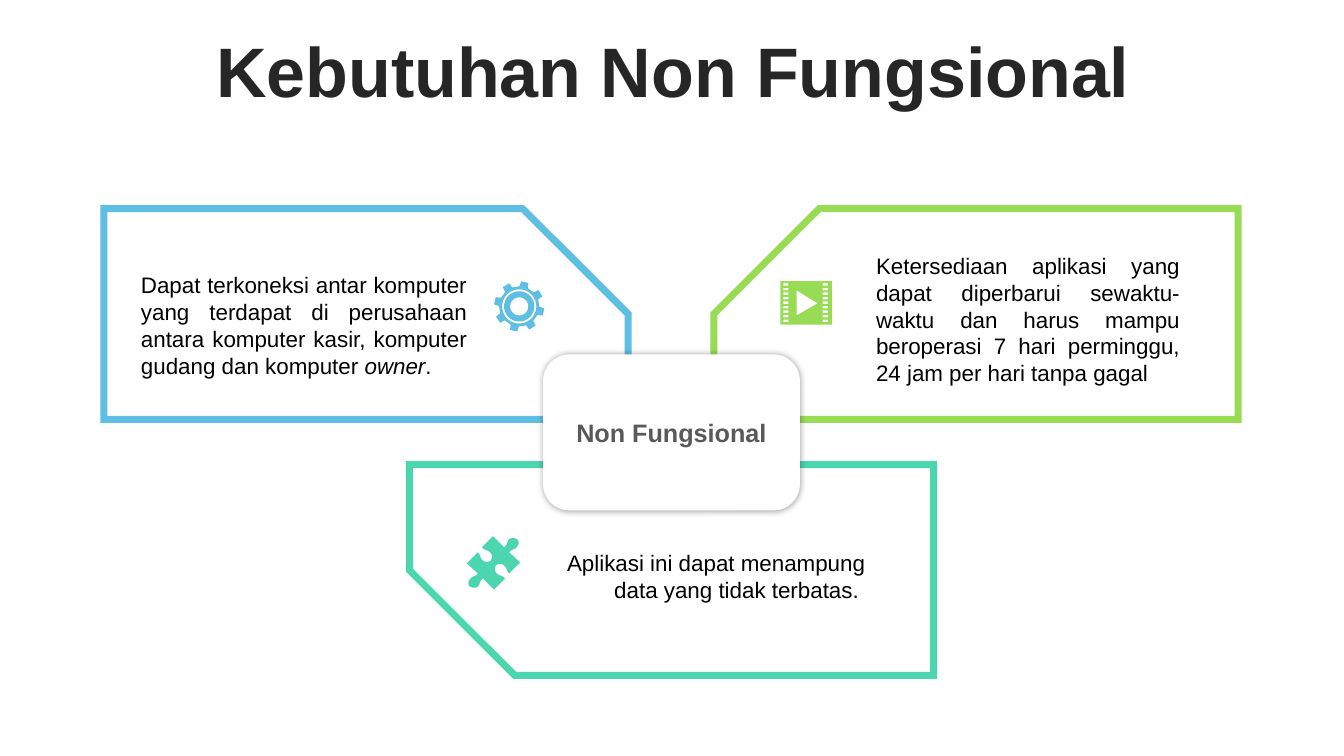
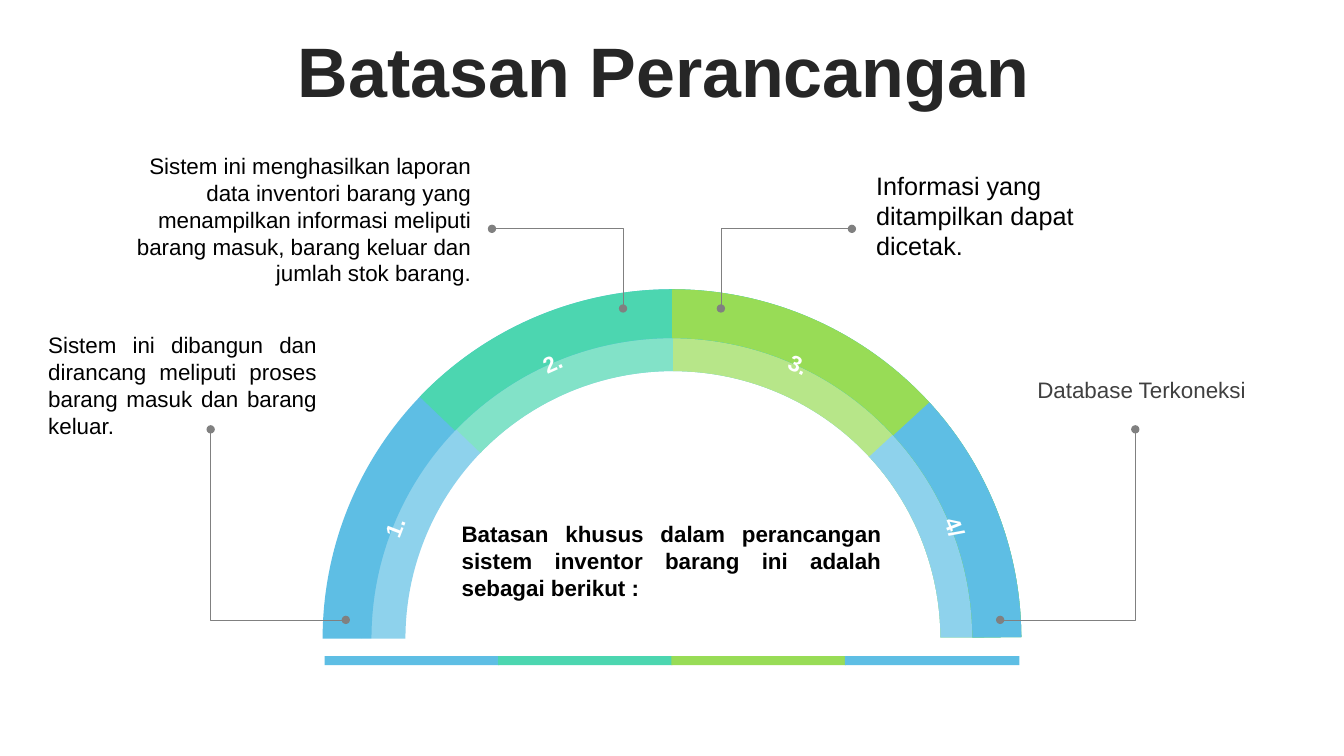
from math import cos, radians, sin, tau

from lxml import etree
from pptx import Presentation
from pptx.dml.color import RGBColor
from pptx.enum.shapes import MSO_CONNECTOR, MSO_SHAPE
from pptx.enum.text import MSO_ANCHOR, MSO_AUTO_SIZE, PP_ALIGN
from pptx.oxml.ns import qn
from pptx.util import Inches, Pt

LEFT, RIGHT = PP_ALIGN.LEFT, PP_ALIGN.RIGHT
CENTER, JUSTIFY = PP_ALIGN.CENTER, PP_ALIGN.JUSTIFY
MIDDLE = MSO_ANCHOR.MIDDLE
FIXED = MSO_AUTO_SIZE.NONE
ELBOW = MSO_CONNECTOR.ELBOW
RECT, ARC = MSO_SHAPE.RECTANGLE, MSO_SHAPE.BLOCK_ARC
SNIP, ROUND = MSO_SHAPE.SNIP_1_RECTANGLE, MSO_SHAPE.ROUNDED_RECTANGLE

FONT = "Arial"
BLUE, GREEN, TEAL = "5EBEE4", "98DC56", "4CD6B0"
BLACK, WHITE, DARK, GRAY = "000000", "FFFFFF", "262626", "808080"

# Slide 1: box, flips, colour
CARDS = [
    ((1.03, 2.07, 5.2, 2.09), "", BLUE),
    ((7.08, 2.07, 5.2, 2.09), "H", GREEN),
    ((4.06, 4.61, 5.2, 2.09), "HV", TEAL),
]
HUB = (5.39, 3.52, 2.54, 1.54)
# Every second part of a text is italic
NEEDS = [
    ((1.3, 2.64, 3.43, 1.18), JUSTIFY,
     ["Dapat terkoneksi antar komputer yang terdapat di perusahaan antara "
      "komputer kasir, komputer gudang dan komputer ", "owner", "."]),
    ((8.59, 2.45, 3.21, 1.45), JUSTIFY,
     ["Ketersediaan aplikasi yang dapat diperbarui sewaktu-waktu dan harus "
      "mampu beroperasi 7 hari perminggu, 24 jam per hari tanpa gagal "]),
    ((5.47, 5.4, 3.21, 0.64), RIGHT,
     ["Aplikasi ini dapat menampung data yang tidak terbatas. "]),
]
# Half of the puzzle outline: end points, or two controls and an end point
PUZZLE_MID = (4.895, 5.585)
PUZZLE = [
    (5.13, 5.35),
    (5.15, 5.37, 5.15, 5.4, 5.13, 5.42),
    (5.11, 5.46, 5.08, 5.44, 5.05, 5.48),
    (5.16, 5.58),
    (5.05, 5.69),
    (5.02, 5.66, 5.03, 5.63, 5, 5.61),
    (4.98, 5.59, 4.94, 5.59, 4.92, 5.61),
    (4.91, 5.63, 4.9, 5.67, 4.93, 5.69),
    (4.96, 5.72, 4.97, 5.7, 5.01, 5.74),
    (4.9, 5.85),
    (4.79, 5.74),
    (4.75, 5.77, 4.77, 5.78, 4.74, 5.82),
    (4.71, 5.84, 4.68, 5.83, 4.66, 5.82),
]

# Slide 2: box, start angles, colours
ARC_END, ARC_DEPTH = 359.78, 0.07
ARCS = [
    ((3.59, 3.25, 6.17, 6.17), (180, 223.97, 270.03, 317.18),
     ("8ED2EC", "82E2C8", "B7E689", "8ED2EC")),
    ((3.2, 2.87, 6.93, 6.93), (180, 223.79, 270.03, 317.46),
     (BLUE, TEAL, GREEN, BLUE)),
]
LIMITS = [
    ((0.38, 3.24, 2.86, 1.18), JUSTIFY, 16, BLACK, False,
     "Sistem ini dibangun dan dirancang meliputi proses barang masuk dan "
     "barang keluar."),
    ((1.22, 1.46, 3.55, 1.45), RIGHT, 16, BLACK, False,
     "Sistem ini menghasilkan laporan data inventori barang yang menampilkan "
     "informasi meliputi barang masuk, barang keluar dan jumlah stok barang."),
    ((8.59, 1.64, 2.68, 1.01), LEFT, 18, BLACK, False,
     "Informasi yang ditampilkan dapat dicetak."),
    ((10.19, 3.68, 2.76, 0.37), LEFT, 16, "404040", False,
     "Database Terkoneksi"),
    ((4.48, 5.11, 4.36, 0.91), JUSTIFY, 16, BLACK, True,
     "Batasan khusus dalam perancangan sistem inventor barang ini adalah "
     "sebagai berikut :"),
]
# Text, left, top, rotation
MARKS = [
    ("1. ", 2.89, 4.87, 291),
    ("2. ", 4.35, 3.38, 335.8),
    ("3. ", 6.6, 3.42, 25.1),
    ("4/ ", 8.02, 4.93, 68.8),
]
# Each leader runs level first, then upright
LEADERS = [
    (4.88, 2.27, 6.18, 3.06),
    (8.45, 2.27, 7.15, 3.06),
    (3.43, 6.15, 2.09, 4.26),
    (9.92, 6.15, 11.26, 4.26),
]


def color(code):
    return RGBColor.from_string(code)


def inch(values):
    return [Inches(v) for v in values]


def sub(parent, tag, **attrs):
    return etree.SubElement(parent, qn(tag), attrs)


def paint(shape, fill, line=None, width=1):
    shape.shadow.inherit = False
    shape.fill.solid()
    shape.fill.fore_color.rgb = color(fill)
    if line:
        shape.line.color.rgb = color(line)
        shape.line.width = Pt(width)
    else:
        shape.line.fill.background()


def add_shape(slide, kind, box, fill, line=None, width=1):
    shape = slide.shapes.add_shape(kind, *inch(box))
    paint(shape, fill, line, width)
    return shape


def write(frame, parts, align, size, ink, bold=False):
    frame.word_wrap = True
    frame.auto_size = FIXED
    para = frame.paragraphs[0]
    para.alignment = align
    font = para.font
    font.name, font.size, font.bold = FONT, Pt(size), bold
    font.color.rgb = color(ink)
    for i, part in enumerate(parts):
        run = para.add_run()
        run.text = part
        if i % 2:
            run.font.italic = True
    return para


def add_text(slide, box, *style):
    shape = slide.shapes.add_textbox(*inch(box))
    write(shape.text_frame, *style)
    return shape


def add_slide(deck, title):
    slide = deck.slides.add_slide(deck.slide_layouts[5])
    head = slide.shapes.title
    head.left, head.top, head.width, head.height = inch((0.35, 0.37, 12.66, 0.79))
    head.text_frame.vertical_anchor = MIDDLE
    para = write(head.text_frame, [title], CENTER, 50, DARK, True)
    para.line_spacing = 0.8
    para.space_before = Pt(10)
    return slide


def add_icon(slide, rings, fill):
    """Draw closed outlines as one shape; inner ones become holes."""
    rings = [[inch(point) for point in ring] for ring in rings]
    pen = slide.shapes.build_freeform(*rings[0][0])
    for i, ring in enumerate(rings):
        if i:
            pen.move_to(*ring[0])
        pen.add_line_segments(ring[1:], close=True)
    paint(pen.convert_to_shape(), fill)


def polar(mid, radius, angle):
    return mid[0] + radius * cos(angle), mid[1] + radius * sin(angle)


def gear():
    mid, teeth = (5.15, 3.04), 8
    rim = [polar(mid, r, radians(-77 + 360 / teeth * i + turn))
           for i in range(teeth)
           for r, turn in ((0.2, -12), (0.25, -8.5), (0.25, 8.5), (0.2, 12))]
    holes = [[polar(mid, r, tau * i / 48) for i in range(48)]
             for r in (0.17, 0.15, 0.09)]
    return [rim] + holes


def film():
    def block(x, y, w, h):
        return [(x, y), (x + w, y), (x + w, y + h), (x, y + h)]

    slots = [block(x, 2.81 + 0.045 * i, 0.05, 0.025)
             for x in (7.77, 8.16) for i in range(9)]
    play = [(7.9, 2.88), (7.9, 3.13), (8.11, 3.01)]
    return [block(7.74, 2.79, 0.51, 0.43), play] + slots


def puzzle():
    half = []
    for step in PUZZLE:
        if len(step) == 2:
            half.append(step)
            continue
        start = half[-1]
        for t in (k / 8 for k in range(1, 9)):
            half.append(tuple(
                (1 - t) ** 3 * start[i] + 3 * (1 - t) ** 2 * t * step[i]
                + 3 * (1 - t) * t * t * step[i + 2] + t ** 3 * step[i + 4]
                for i in (0, 1)))
    mx, my = PUZZLE_MID
    return [half + [(2 * mx - x, 2 * my - y) for x, y in half]]


def add_leader(slide, ends):
    link = slide.shapes.add_connector(ELBOW, *inch(ends))
    link.line.color.rgb = color(GRAY)
    link.line.width = Pt(0.5)
    props = link.element.spPr
    sub(props.find(".//" + qn("a:avLst")), "a:gd", name="adj1", fmla="val 100000")
    line = props.find(qn("a:ln"))
    sub(line, "a:headEnd", type="oval")
    sub(line, "a:tailEnd", type="oval")
    sub(props, "a:effectLst")


def needs_slide(deck):
    slide = add_slide(deck, "Kebutuhan Non Fungsional")
    for box, flips, ink in CARDS:
        card = add_shape(slide, SNIP, box, WHITE, ink, 5)
        card.adjustments[0] = 0.5
        props = card.element.spPr
        for axis in flips:
            props.find(qn("a:xfrm")).set("flip" + axis, "1")
        sub(props.find(qn("a:ln")), "a:miter", lim="800000")

    hub = add_shape(slide, ROUND, HUB, WHITE, WHITE, 0.5)
    glow = sub(hub.element.spPr.find(qn("a:effectLst")), "a:outerShdw",
               blurRad=str(Pt(5)), dist="0", dir="0", algn="ctr", rotWithShape="0")
    sub(sub(glow, "a:srgbClr", val=BLACK), "a:alpha", val="40000")
    hub.text_frame.vertical_anchor = MIDDLE
    para = write(hub.text_frame, ["Non Fungsional"], CENTER, 18, "595959", True)
    para.space_before = Pt(4)

    for box, align, parts in NEEDS:
        add_text(slide, box, parts, align, 16, BLACK)
    for rings, ink in ((film(), GREEN), (gear(), BLUE), (puzzle(), TEAL)):
        add_icon(slide, rings, ink)


def limits_slide(deck):
    slide = add_slide(deck, "Batasan Perancangan ")
    for box, starts, inks in ARCS:
        for start, ink in zip(starts, inks):
            arc = add_shape(slide, ARC, box, ink)
            # Angles count in 60000ths of a degree, adjustments in 100000ths
            for i, value in enumerate((start * 0.6, ARC_END * 0.6, ARC_DEPTH)):
                arc.adjustments[i] = value
    for i, ink in enumerate((BLUE, TEAL, GREEN, BLUE)):
        add_shape(slide, RECT, (3.22 + 1.72 * i, 6.51, 1.73, 0.09), ink)
    for box, align, size, ink, bold, text in LIMITS:
        add_text(slide, box, [text], align, size, ink, bold)
    for ends in LEADERS:
        add_leader(slide, ends)
    for text, x, y, turn in MARKS:
        mark = add_text(slide, (x, y, 2.5, 0.83), [text], CENTER, 16, WHITE, True)
        mark.rotation = turn


def main():
    deck = Presentation()
    deck.slide_width, deck.slide_height = inch((13.33, 7.5))
    needs_slide(deck)
    limits_slide(deck)
    deck.save("out.pptx")


if __name__ == "__main__":
    main()
